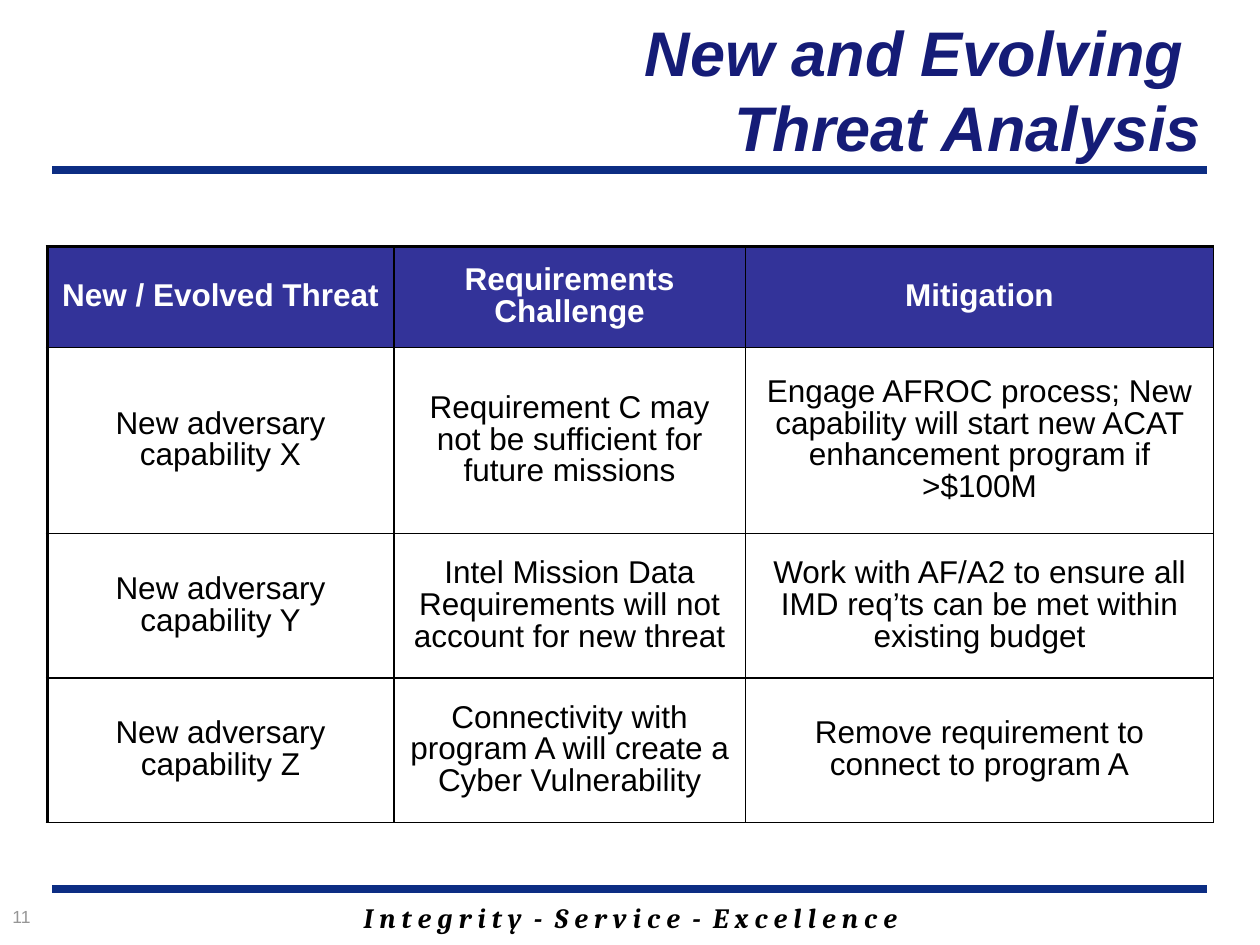
from dataclasses import dataclass

from lxml import etree
from pptx import Presentation
from pptx.dml.color import RGBColor
from pptx.enum.shapes import MSO_CONNECTOR
from pptx.enum.text import MSO_ANCHOR, PP_ALIGN
from pptx.oxml.ns import qn
from pptx.util import Pt

LEFT, CENTER, RIGHT = PP_ALIGN.LEFT, PP_ALIGN.CENTER, PP_ALIGN.RIGHT
TOP, MIDDLE = MSO_ANCHOR.TOP, MSO_ANCHOR.MIDDLE
STRAIGHT = MSO_CONNECTOR.STRAIGHT


@dataclass(frozen=True)
class Theme:
    rule: str = "0C2D83"
    title: str = "151C77"
    header: str = "333399"
    white: str = "FFFFFF"
    ink: str = "000000"
    muted: str = "969696"
    sans: str = "Arial"
    serif: str = "Cambria"
    title_size: int = 36
    table_size: int = 18
    motto_size: int = 16
    number_size: int = 10
    rule_width: float = 4.5
    outer_border: float = 2.25
    inner_border: float = 1


THEME = Theme()

COLUMN_WIDTHS = (198, 201, 267.5)
ROW_HEIGHTS = (57.5, 106.5, 82.5, 82.5)
THREATS = (
    ("New / Evolved Threat", "Requirements Challenge", "Mitigation"),
    ("New adversary capability X",
     "Requirement C may not be sufficient for future missions",
     "Engage AFROC process; New capability will start new ACAT enhancement program if >$100M"),
    ("New adversary capability Y",
     "Intel Mission Data Requirements will not account for new threat",
     "Work with AF/A2 to ensure all IMD req’ts can be met within existing budget"),
    ("New adversary capability Z",
     "Connectivity with program A will create a Cyber Vulnerability",
     "Remove requirement to connect to program A"),
)


def style_text(frame, size, color, font=THEME.sans, bold=False, italic=False,
               align=LEFT, line_spacing=None):
    for paragraph in frame.paragraphs:
        paragraph.alignment = align
        paragraph.line_spacing = line_spacing
        for run in paragraph.runs:
            run.font.name = font
            run.font.size = Pt(size)
            run.font.color.rgb = RGBColor.from_string(color)
            run.font.bold = bold
            run.font.italic = italic


def add_text(slide, box, text, anchor=TOP, **style):
    frame = slide.shapes.add_textbox(*map(Pt, box)).text_frame
    frame.word_wrap = True
    frame.vertical_anchor = anchor
    frame.text = text
    style_text(frame, **style)


def add_rule(slide, left, y, width):
    rule = slide.shapes.add_connector(STRAIGHT, Pt(left), Pt(y), Pt(left + width), Pt(y))
    rule.line.color.rgb = RGBColor.from_string(THEME.rule)
    rule.line.width = Pt(THEME.rule_width)
    etree.SubElement(rule._element.spPr, qn("a:effectLst"))


def add_borders(cell, widths):
    """Draw the borders named in widths (L, R, T, B); call before the fill is set."""
    properties = cell._tc.get_or_add_tcPr()
    for side, width in widths.items():
        border = etree.SubElement(properties, qn(f"a:ln{side}"), w=str(int(Pt(width))))
        fill = etree.SubElement(border, qn("a:solidFill"))
        etree.SubElement(fill, qn("a:srgbClr"), val=THEME.ink)


def add_header(slide, left, top, width, height):
    add_text(slide, (left + 101, top, width - 97.5, height - 1.5),
             "New and Evolving \vThreat Analysis", anchor=MIDDLE,
             size=THEME.title_size, color=THEME.title, bold=True, italic=True, align=RIGHT)
    add_rule(slide, left, top + height, width)


def add_threat_table(slide, left, top):
    table = slide.shapes.add_table(
        len(ROW_HEIGHTS), len(COLUMN_WIDTHS), Pt(left), Pt(top),
        Pt(sum(COLUMN_WIDTHS)), Pt(sum(ROW_HEIGHTS))).table
    table.horz_banding = False
    for column, width in zip(table.columns, COLUMN_WIDTHS):
        column.width = Pt(width)
    for r, (row, height, texts) in enumerate(zip(table.rows, ROW_HEIGHTS, THREATS)):
        row.height = Pt(height)
        is_header = r == 0
        for c, (cell, text) in enumerate(zip(row.cells, texts)):
            inner, outer = THEME.inner_border, THEME.outer_border
            add_borders(cell, {"L": outer if c == 0 else inner, "R": inner,
                               "T": outer if is_header else inner, "B": inner})
            if is_header:
                cell.fill.solid()
                cell.fill.fore_color.rgb = RGBColor.from_string(THEME.header)
            else:
                cell.fill.background()
            cell.vertical_anchor = MIDDLE
            cell.text_frame.text = text
            style_text(cell.text_frame, THEME.table_size,
                       THEME.white if is_header else THEME.ink,
                       bold=is_header, align=CENTER, line_spacing=0.9)


def add_footer(slide, left, top, width):
    add_rule(slide, left, top, width)
    add_text(slide, (left + 72, top + 3, width - 143.5, 26.5),
             "I n t e g r i t y  -  S e r v i c e  -  E x c e l l e n c e",
             size=THEME.motto_size, color=THEME.ink, font=THEME.serif,
             bold=True, italic=True, align=CENTER)
    add_text(slide, (0, top + 6, 96, 24), "11",
             size=THEME.number_size, color=THEME.muted)


def main():
    deck = Presentation()
    deck.slide_width, deck.slide_height = Pt(720), Pt(540)
    slide = deck.slides.add_slide(deck.slide_layouts[6])
    add_header(slide, 30, 6, 660, 91)
    add_threat_table(slide, 27, 141)
    add_footer(slide, 30, 508, 660)
    deck.save("out.pptx")


if __name__ == "__main__":
    main()
